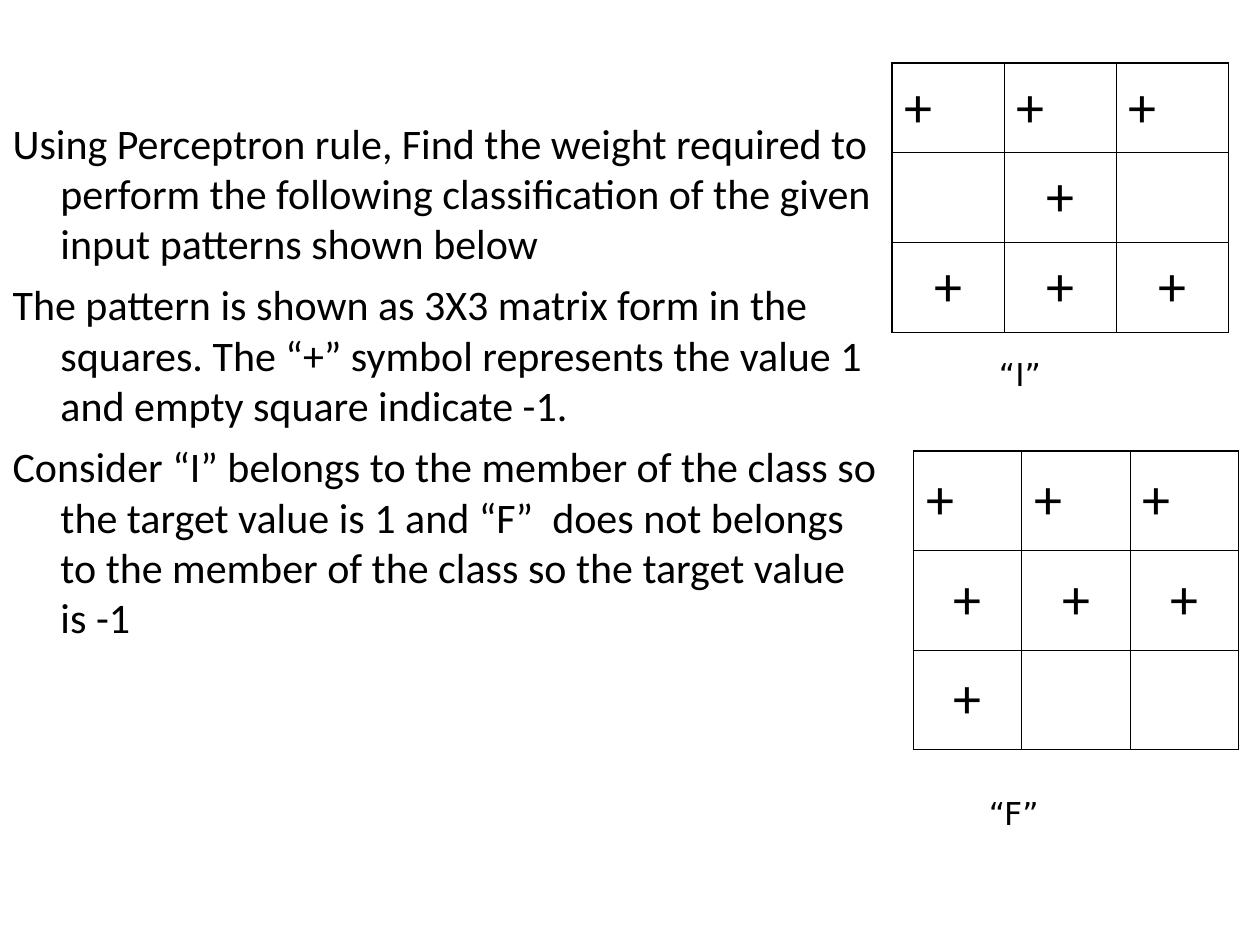
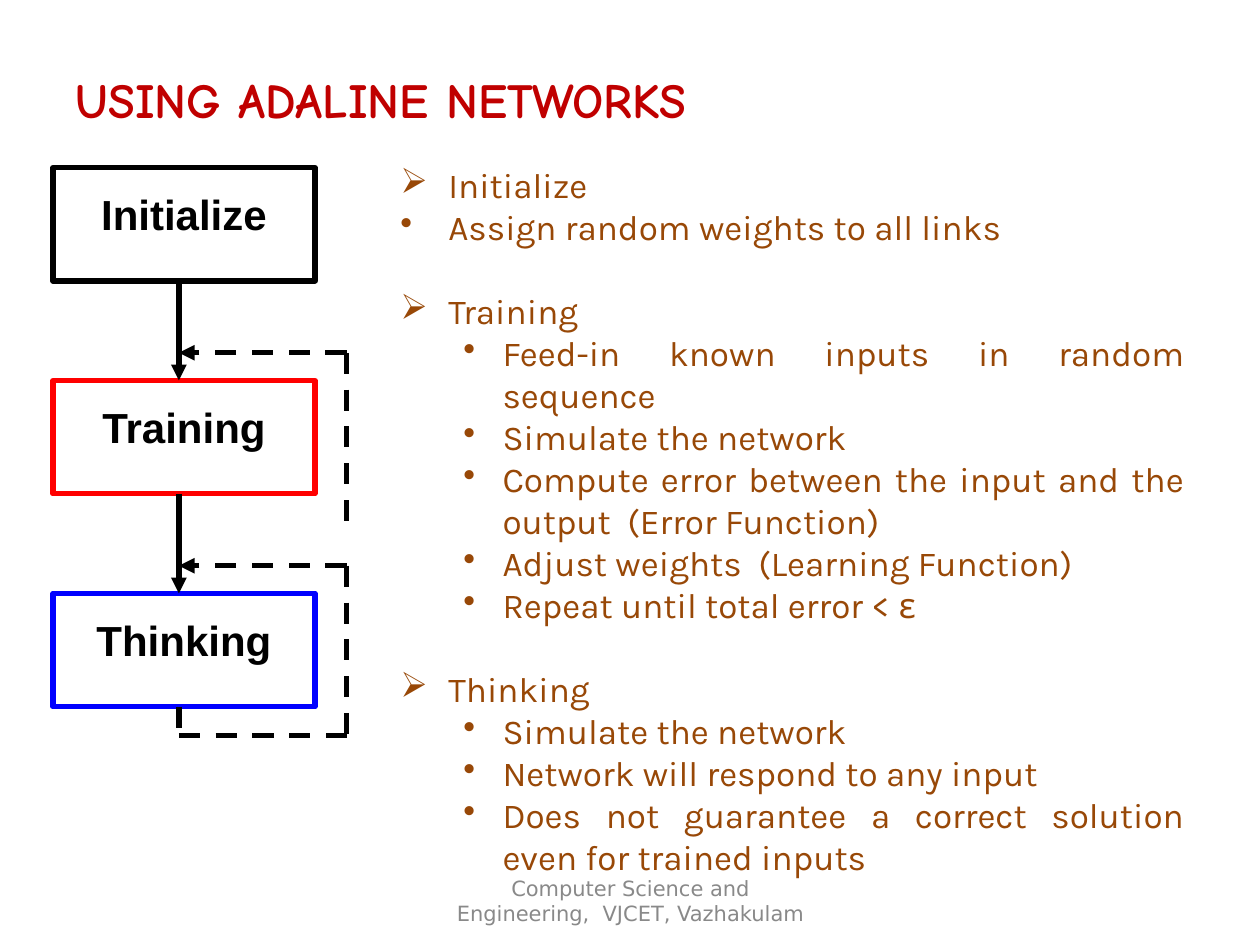
from pptx import Presentation
from pptx.dml.color import RGBColor
from pptx.enum.dml import MSO_LINE
from pptx.enum.shapes import MSO_CONNECTOR, MSO_SHAPE
from pptx.enum.text import MSO_ANCHOR as Anchor, MSO_AUTO_SIZE, PP_ALIGN as Align
from pptx.oxml.ns import qn
from pptx.util import Pt
from lxml.etree import SubElement

PX = 9144  # EMU per px, 100 px to the inch
BLACK = RGBColor(0x00, 0x00, 0x00)
RED = RGBColor(0xFF, 0x00, 0x00)
BLUE = RGBColor(0x00, 0x00, 0xFF)
CRIMSON = RGBColor(0xC0, 0x00, 0x00)
BROWN = RGBColor(0x98, 0x48, 0x07)
GREY = RGBColor(0x89, 0x89, 0x89)

EXERCISE = [
    "Using Perceptron rule, Find the weight required to perform the following "
    "classification of the given input patterns shown below",
    "The pattern is shown as 3X3 matrix form in the squares. The “+” symbol "
    "represents the value 1 and empty square indicate -1.",
    "Consider “I” belongs to the member of the class so the target value is 1 and “F”  "
    "does not belongs to the member of the class so the target value is -1",
]
PATTERNS = [  # rows, grid box, caption, caption box
    (("+++", " + ", "+++"), (708, 50, 267, 214), "“I”", (783, 277, 158, 40)),
    (("+++", "+++", "+  "), (725, 358, 258, 237), "“F”", (775, 625, 158, 40)),
]

TITLE = "USING ADALINE NETWORKS"
FOOTER = "Computer Science and Engineering,  VJCET, Vazhakulam"
STAGES = [("Initialize", BLACK), ("Training", RED), ("Thinking", BLUE)]
OUTLINE = [  # bullet, level, text
    ("➢", 0, "Initialize"),
    ("•", 0, "Assign random weights to all links"),
    ("➢", 0, "Training"),
    ("•", 1, "Feed-in known inputs in random sequence"),
    ("•", 1, "Simulate the network"),
    ("•", 1, "Compute error between the input and the output  (Error Function)"),
    ("•", 1, "Adjust weights  (Learning Function)"),
    ("•", 1, "Repeat until total error < ε"),
    ("➢", 0, "Thinking"),
    ("•", 1, "Simulate the network"),
    ("•", 1, "Network will respond to any input"),
    ("•", 1, "Does not guarantee a correct solution even for trained inputs"),
]
INDENTS = [(38, 38), (81, 31)]  # left margin and hanging part per level

STAGE_LEFT, STAGE_TOP, STAGE_WIDTH, STAGE_HEIGHT, STAGE_STEP = 42, 133, 208, 90, 169
FLOW_X, LOOP_X, LOOP_RISE, LOOP_HEIGHT = 142, 275, 22, 135


def emu(box):
    return [length * PX for length in box]


def place(shape, box):
    shape.left, shape.top, shape.width, shape.height = emu(box)


def write(paragraph, text, font="Calibri", size=18, color=BLACK, bold=False,
          align=Align.LEFT, before=0, level=0, hanging=False, bullet=None):
    paragraph.alignment = align
    paragraph.space_before = Pt(before)
    paragraph.level = level
    if hanging:
        margin, hang = INDENTS[level]
        properties = paragraph._p.get_or_add_pPr()
        properties.set("marL", str(margin * PX))
        properties.set("indent", str(-hang * PX))
        if bullet:
            bullet_color = SubElement(properties, qn("a:buClr"))
            SubElement(bullet_color, qn("a:srgbClr"), val=str(color))
            SubElement(properties, qn("a:buChar"), char=bullet)
        else:
            SubElement(properties, qn("a:buNone"))
    plain = text.rstrip("ε")
    for part, face in ((plain, font), (text[len(plain):], "Cabin")):
        if part:
            run = paragraph.add_run()
            run.text = part
            run.font.name, run.font.size, run.font.bold = face, Pt(size), bold
            run.font.color.rgb = color


def prepare(frame, anchor=Anchor.TOP):
    frame.word_wrap = True
    frame.auto_size = MSO_AUTO_SIZE.NONE
    frame.vertical_anchor = anchor
    return frame


def next_paragraph(frame, index):
    return frame.add_paragraph() if index else frame.paragraphs[0]


def add_text(slide, box, text, anchor=Anchor.TOP, **style):
    frame = prepare(slide.shapes.add_textbox(*emu(box)).text_frame, anchor)
    write(frame.paragraphs[0], text, **style)


def set_borders(cell, row, column, last):
    outer = {"L": column == 0, "R": column == last, "T": row == 0, "B": row == last}
    for side, is_outer in outer.items():
        edge = SubElement(cell._tc.get_or_add_tcPr(), qn("a:ln" + side),
                          w=str(Pt(1.08 if is_outer else 0.45)))
        SubElement(SubElement(edge, qn("a:solidFill")), qn("a:srgbClr"), val=str(BLACK))


def add_pattern(slide, rows, box):
    size = len(rows)
    grid = slide.shapes.add_table(size, size, *emu(box)).table
    grid.first_row = grid.horz_banding = False
    for r, row in enumerate(rows):
        for c, mark in enumerate(row):
            cell = grid.cell(r, c)
            set_borders(cell, r, c, size - 1)
            cell.fill.background()
            cell.vertical_anchor = Anchor.MIDDLE
            if mark == "+":
                write(cell.text_frame.paragraphs[0], mark, size=32,
                      align=Align.CENTER if r else Align.LEFT)


def add_line(slide, start, end, dashed=False, arrow=False):
    connector = slide.shapes.add_connector(MSO_CONNECTOR.STRAIGHT, *emu(start + end))
    line = connector.line
    line.color.rgb, line.width = BLACK, Pt(3)
    if dashed:
        line.dash_style = MSO_LINE.DASH
    if arrow:
        SubElement(line._get_or_add_ln(), qn("a:tailEnd"), type="triangle")
    SubElement(connector._element.spPr, qn("a:effectLst"))


def add_stage(slide, name, color, top):
    stage = slide.shapes.add_shape(
        MSO_SHAPE.RECTANGLE, *emu((STAGE_LEFT, top, STAGE_WIDTH, STAGE_HEIGHT)))
    stage.shadow.inherit = False
    stage.fill.background()
    stage.line.color.rgb, stage.line.width = color, Pt(3)
    frame = prepare(stage.text_frame)
    frame.margin_top = 17 * PX
    write(frame.paragraphs[0], name, font="Arial", size=24, bold=True, align=Align.CENTER)


def build_exercise(deck):
    slide = deck.slides.add_slide(deck.slide_layouts[1])
    title, body = slide.placeholders
    title._element.getparent().remove(title._element)
    place(body, (0, 88, 708, 587))
    frame = prepare(body.text_frame)
    for i, text in enumerate(EXERCISE):
        write(next_paragraph(frame, i), text, size=24, before=6 if i else 0, hanging=True)
    for rows, box, caption, caption_box in PATTERNS:
        add_pattern(slide, rows, box)
        add_text(slide, caption_box, caption, font="DejaVu Sans")


def build_adaline(deck):
    slide = deck.slides.add_slide(deck.slide_layouts[5])
    title = slide.shapes.title
    place(title, (50, 50, 715, 57))
    write(prepare(title.text_frame).paragraphs[0], TITLE,
          font="Comic Neue", size=28, color=CRIMSON, bold=True)

    outline = prepare(slide.shapes.add_textbox(*emu((308, 125, 642, 583))).text_frame)
    for i, (bullet, level, text) in enumerate(OUTLINE):
        write(next_paragraph(outline, i), text, font="Karla", size=20, color=BROWN,
              align=Align.JUSTIFY, before=24 if i and bullet == "➢" else 0,
              level=level, hanging=True, bullet=bullet)

    tops = [STAGE_TOP + i * STAGE_STEP for i in range(len(STAGES))]
    for (name, color), top in zip(STAGES, tops):
        add_stage(slide, name, color, top)
    for above, top in zip(tops, tops[1:]):
        loop_top = top - LOOP_RISE
        corner = (LOOP_X, loop_top)
        add_line(slide, (FLOW_X, above + STAGE_HEIGHT), (FLOW_X, top), arrow=True)
        add_line(slide, corner, (FLOW_X, loop_top), dashed=True, arrow=True)
        add_line(slide, corner, (LOOP_X, loop_top + LOOP_HEIGHT), dashed=True)
    loop_bottom = loop_top + LOOP_HEIGHT
    add_line(slide, (FLOW_X, top + STAGE_HEIGHT), (FLOW_X, loop_bottom), dashed=True)
    add_line(slide, (FLOW_X, loop_bottom), (LOOP_X, loop_bottom), dashed=True)

    add_text(slide, (342, 695, 317, 40), FOOTER, anchor=Anchor.MIDDLE,
             font="DejaVu Sans", size=12, color=GREY, align=Align.CENTER)


def main():
    deck = Presentation()
    deck.slide_width, deck.slide_height = emu((1000, 750))
    build_exercise(deck)
    build_adaline(deck)
    deck.save("out.pptx")


if __name__ == "__main__":
    main()
